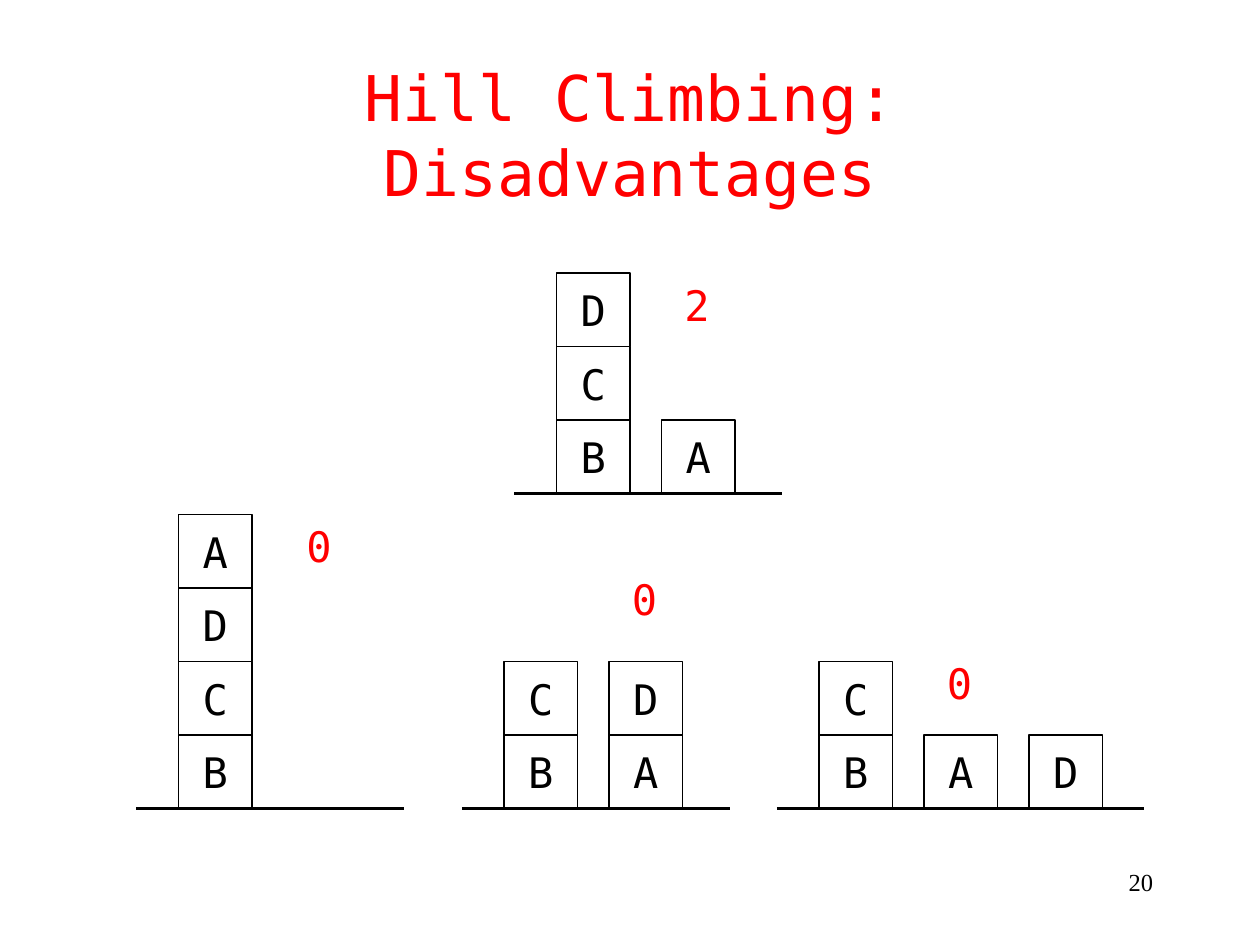
import pptx
import pptx.dml.color
import pptx.enum.shapes
import pptx.enum.text
import pptx.oxml.ns
import pptx.util
from lxml import etree

BLACK = pptx.dml.color.RGBColor(0x00, 0x00, 0x00)
RED = pptx.dml.color.RGBColor(0xFF, 0x00, 0x00)
MONO = "DejaVu Sans Mono"
SERIF = "Times New Roman"
ALIGN = pptx.enum.text.PP_ALIGN
ANCHOR = pptx.enum.text.MSO_ANCHOR

BLOCK = 56
COLUMN_PITCH = 80
GROUND_OVERHANG = 32
SCORE_SIZE = 48

# Each state: left, ground top, ground width, stacks from the bottom up, score, score position
STATES = [
    (136, 616, 204, ["BCDA"], "0", (224, 392)),
    (384, 616, 204, ["BC", "AD"], "0", (472, 432)),
    (624, 616, 280, ["BC", "A", "D"], "0", (712, 496)),
    (424, 376, 204, ["BCD", "A"], "2", (512, 208)),
]


def px(length):
    """Turn pixels into EMU."""
    return pptx.util.Emu(length * 9525)


def write(frame, text, size, color, align, font=MONO):
    """Put one formatted paragraph into a text frame."""
    para = frame.paragraphs[0]
    para.text = text
    para.alignment = align
    para.font.name = font
    para.font.size = pptx.util.Pt(size)
    para.font.color.rgb = color


def set_title(page, text):
    """Place and format the title placeholder."""
    title = page.shapes.title
    title.left, title.top, title.width, title.height = px(72), px(42), px(816), px(120)
    frame = title.text_frame
    frame.auto_size = pptx.enum.text.MSO_AUTO_SIZE.NONE
    frame.vertical_anchor = ANCHOR.MIDDLE
    write(frame, text, 36, RED, ALIGN.CENTER)


def add_label(page, text, left, top, width, height, size, color, align, font=MONO):
    """Add a wrapping text box."""
    box = page.shapes.add_textbox(px(left), px(top), px(width), px(height))
    box.text_frame.word_wrap = True
    write(box.text_frame, text, size, color, align, font)


def add_block(page, letter, left, top):
    """Add one lettered block."""
    block = page.shapes.add_shape(
        pptx.enum.shapes.MSO_SHAPE.RECTANGLE, px(left), px(top), px(BLOCK), px(BLOCK)
    )
    block.shadow.inherit = False
    block.fill.background()
    block.line.color.rgb = BLACK
    block.line.width = pptx.util.Pt(1)
    block.text_frame.word_wrap = False
    block.text_frame.vertical_anchor = ANCHOR.MIDDLE
    write(block.text_frame, letter, 24, BLACK, ALIGN.CENTER)


def add_ground(page, left, top, width):
    """Add the ground line under the stacks."""
    ground = page.shapes.add_connector(
        pptx.enum.shapes.MSO_CONNECTOR.STRAIGHT, px(left), px(top), px(left + width), px(top)
    )
    ground.line.color.rgb = BLACK
    ground.line.width = pptx.util.Pt(1.5)
    etree.SubElement(ground._element.spPr, pptx.oxml.ns.qn("a:effectLst"))


def add_state(page, left, top, width, stacks, score, score_at):
    """Add a block-world state with its ground and score."""
    for column, stack in enumerate(stacks):
        for level, letter in enumerate(stack, start=1):
            add_block(page, letter, left + column * COLUMN_PITCH, top - level * BLOCK)
    add_ground(page, left - GROUND_OVERHANG, top, width)
    add_label(page, score, *score_at, SCORE_SIZE, SCORE_SIZE, 24, RED, ALIGN.LEFT)


def main():
    """Build the slide and save it."""
    deck = pptx.Presentation()
    deck.slide_width, deck.slide_height = px(960), px(720)
    page = deck.slides.add_slide(deck.slide_layouts[5])
    set_title(page, "Hill Climbing: Disadvantages")
    add_label(page, "20", 688, 656, 200, 48, 14, BLACK, ALIGN.RIGHT, SERIF)
    for state in STATES:
        add_state(page, *state)
    deck.save("out.pptx")


if __name__ == "__main__":
    main()
